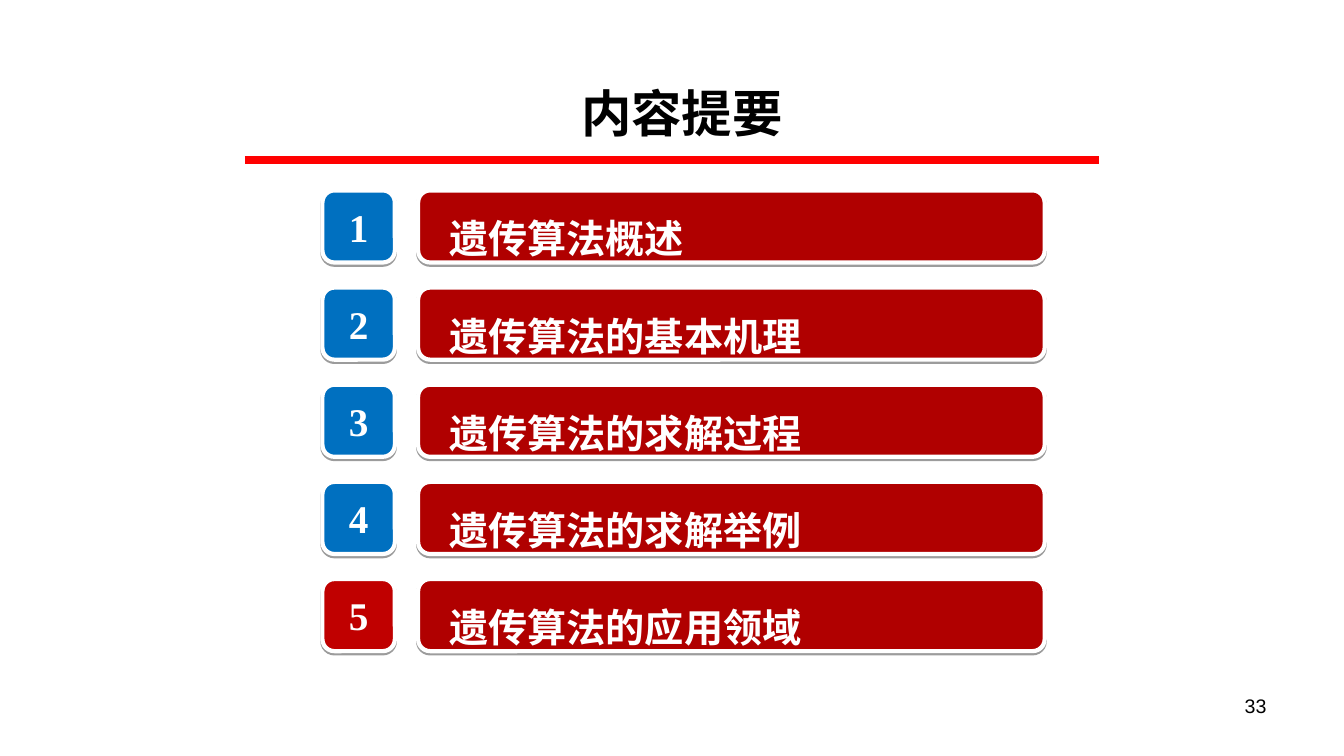
from lxml import etree
from pptx import Presentation
from pptx.dml.color import RGBColor
from pptx.enum.shapes import MSO_CONNECTOR, MSO_SHAPE
from pptx.enum.text import MSO_ANCHOR, PP_ALIGN
from pptx.oxml.ns import qn
from pptx.util import Pt

ROUNDED = MSO_SHAPE.ROUNDED_RECTANGLE
STRAIGHT = MSO_CONNECTOR.STRAIGHT
TOP, MIDDLE = MSO_ANCHOR.TOP, MSO_ANCHOR.MIDDLE
LEFT, CENTER, RIGHT = PP_ALIGN.LEFT, PP_ALIGN.CENTER, PP_ALIGN.RIGHT

BLACK = RGBColor(0, 0, 0)
WHITE = RGBColor(255, 255, 255)
RED = RGBColor(255, 0, 0)
BAR_RED = RGBColor(0xB0, 0, 0)
CURRENT_RED = RGBColor(0xC0, 0, 0)
BLUE = RGBColor(0, 0x70, 0xC0)

CHINESE = "Noto Sans CJK SC"
TOPICS = ["遗传算法概述", "遗传算法的基本机理", "遗传算法的求解过程",
          "遗传算法的求解举例", "遗传算法的应用领域"]
FIRST_TOP, ROW_STEP = 136, 69.4


def write(box, text, size, font, color, bold=True, align=LEFT, anchor=TOP, inset=7.2, spacing=None):
    frame = box.text_frame
    frame.word_wrap = True
    frame.vertical_anchor = anchor
    frame.margin_left = Pt(inset)
    para = frame.paragraphs[0]
    para.text = text
    para.alignment = align
    para.line_spacing = spacing
    para.font.size = Pt(size)
    para.font.bold = bold
    para.font.color.rgb = color
    para.font.name = font
    defaults = para._p.pPr.find(qn("a:defRPr"))
    etree.SubElement(defaults, qn("a:ea"), typeface=font)


def add_tile(left, top, width, color):
    tile = page.shapes.add_shape(ROUNDED, Pt(left), Pt(top), Pt(width), Pt(51.5))
    tile.adjustments[0] = 0.167
    tile.fill.solid()
    tile.fill.fore_color.rgb = color
    tile.line.color.rgb = WHITE
    tile.line.width = Pt(3)
    tile.shadow.inherit = False
    effects = tile._element.spPr.find(qn("a:effectLst"))
    shadow = etree.SubElement(effects, qn("a:outerShdw"), blurRad="0", dist=str(Pt(1.6)),
                              dir="5400000", rotWithShape="0")
    shade = etree.SubElement(shadow, qn("a:srgbClr"), val=str(BLACK))
    etree.SubElement(shade, qn("a:alpha"), val="38000")
    return tile


deck = Presentation()
deck.slide_width, deck.slide_height = Pt(960.5), Pt(540)
page = deck.slides.add_slide(deck.slide_layouts[6])

title = page.shapes.add_textbox(Pt(375.8), Pt(55.4), Pt(213.8), Pt(50.4))
write(title, "内容提要", 36, CHINESE, BLACK, inset=39.5)

rule = page.shapes.add_connector(STRAIGHT, Pt(175), Pt(114.5), Pt(785.5), Pt(114.5))
rule.line.color.rgb = RED
rule.line.width = Pt(6)
etree.SubElement(rule._element.spPr, qn("a:effectLst"))

for number, topic in enumerate(TOPICS, start=1):
    top = FIRST_TOP + (number - 1) * ROW_STEP
    bar = add_tile(298.8, top, 447.8, BAR_RED)
    write(bar, topic, 28, CHINESE, WHITE, anchor=MIDDLE, inset=19.8, spacing=1.5)
    badge = add_tile(230.4, top, 51.8, CURRENT_RED if number == len(TOPICS) else BLUE)
    write(badge, str(number), 28, "Times New Roman", WHITE, align=CENTER, anchor=MIDDLE)

page_number = page.shapes.add_textbox(Pt(688.3), Pt(491.8), Pt(223.9), Pt(37.4))
write(page_number, "33", 14, "Arial", BLACK, bold=False, align=RIGHT)

deck.save("out.pptx")
